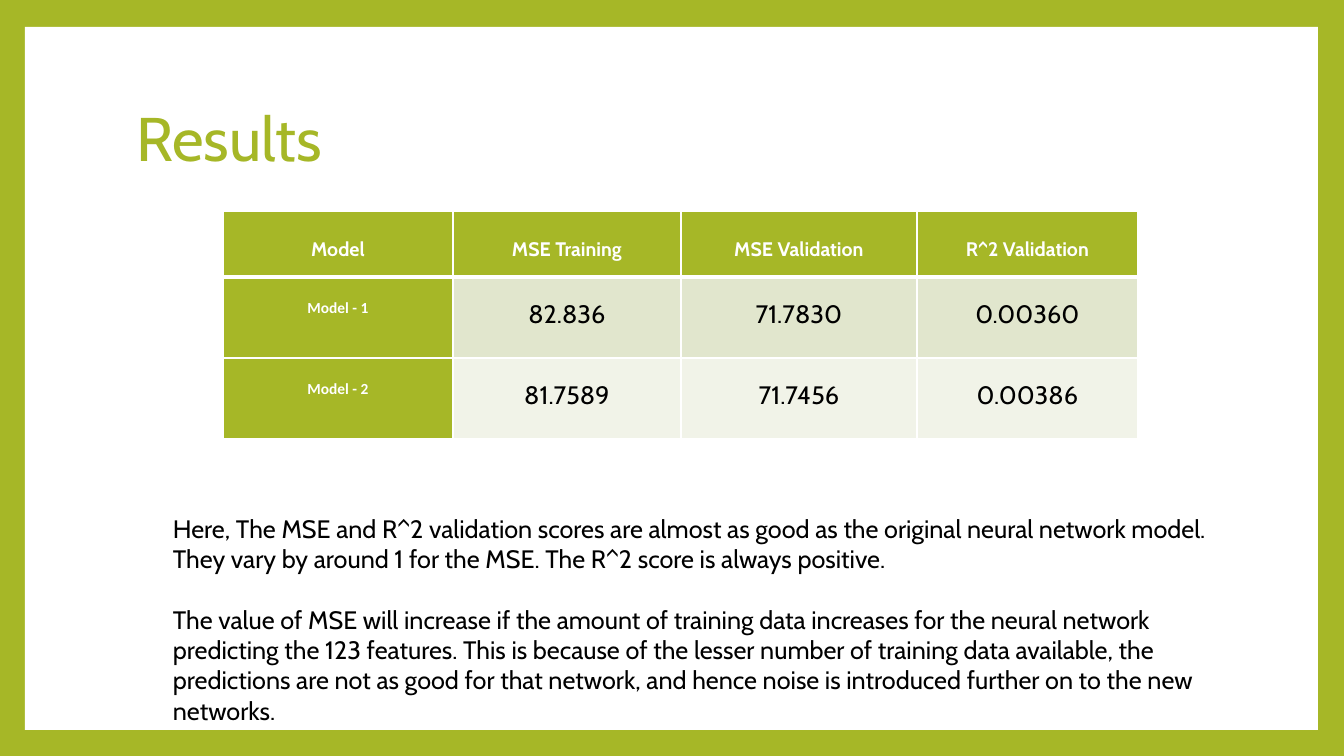
from dataclasses import dataclass

from pptx import Presentation
from pptx.dml.color import RGBColor as Color
from pptx.enum.shapes import MSO_SHAPE as Preset
from pptx.enum.text import MSO_ANCHOR as Anchor, MSO_AUTO_SIZE as AutoSize, PP_ALIGN as Align
from pptx.oxml import parse_xml
from pptx.oxml.ns import nsdecls
from pptx.util import Pt

EMU_PER_PX = 914400 / 100.8


@dataclass(frozen=True)
class Theme:
    """Colours, fonts and type sizes of the slide."""
    green: str = "A6B727"
    white: str = "FFFFFF"
    black: str = "000000"
    bands: tuple = ("E1E6CD", "F1F3E8")
    font: str = "Cabin"
    label_font: str = "Calibri"
    title_size: int = 44
    body_size: int = 18
    header_size: int = 14
    label_size: int = 11


THEME = Theme()
COLUMNS = (230, 228, 236, 221)
ROWS = (66, 81, 81)
RESULTS = (
    ("Model", "MSE Training", "MSE Validation", "R^2 Validation"),
    ("Model - 1", "82.836", "71.7830", "0.00360"),
    ("Model - 2", "81.7589", "71.7456", "0.00386"),
)
DISCUSSION = (
    "Here, The MSE and R^2 validation scores are almost as good as the original neural "
    "network model. They vary by around 1 for the MSE. The R^2 score is always positive.",
    "The value of MSE will increase if the amount of training data increases for the neural "
    "network predicting the 123 features. This is because of the lesser number of training "
    "data available, the predictions are not as good for that network, and hence noise is "
    "introduced further on to the new networks.",
)


def px(length):
    """Turn pixels into EMU."""
    return round(length * EMU_PER_PX)


def style(para, size, color, font=THEME.font, bold=False):
    """Format every run of a paragraph."""
    for span in para.runs:
        span.font.name = font
        span.font.size = Pt(size)
        span.font.bold = bold
        span.font.color.rgb = Color.from_string(color)


def paint(fill, color):
    """Make a fill solid in one colour."""
    fill.solid()
    fill.fore_color.rgb = Color.from_string(color)


def add_frame(page):
    """Colour the background and lay the white panel at the back."""
    paint(page.background.fill, THEME.green)
    panel = page.shapes.add_shape(Preset.RECTANGLE, px(25), px(27), px(1293), px(703))
    panel.shadow.inherit = False
    paint(panel.fill, THEME.white)
    panel.line.fill.background()
    page.shapes.element.insert(2, panel.element)


def add_title(page, text):
    """Fill and place the title placeholder."""
    title = page.shapes.title
    title.left, title.top, title.width, title.height = px(126), px(67), px(1089), px(149)
    frame = title.text_frame
    frame.text = text
    frame.vertical_anchor = Anchor.MIDDLE
    para = frame.paragraphs[0]
    para.alignment = Align.LEFT
    para.line_spacing = 0.9
    style(para, THEME.title_size, THEME.green)


def add_borders(cell, top, bottom):
    """Draw white cell borders, with top and bottom widths in points."""
    properties = cell._tc.get_or_add_tcPr()
    for side, width in (("L", 1), ("R", 1), ("T", top), ("B", bottom)):
        properties.append(parse_xml(
            f'<a:ln{side} {nsdecls("a")} w="{Pt(width)}"><a:solidFill>'
            f'<a:srgbClr val="{THEME.white}"/></a:solidFill></a:ln{side}>'))


def fill_cell(cell, text, row, column):
    """Write and format one cell by its place in the table."""
    header, label = row == 0, column == 0
    cell.margin_left = cell.margin_right = px(7)
    cell.margin_top, cell.margin_bottom = px(25 if header else 20), 0
    cell.vertical_anchor = Anchor.TOP
    cell.text = text
    para = cell.text_frame.paragraphs[0]
    para.alignment = Align.CENTER
    para.line_spacing = 1.07
    if header:
        style(para, THEME.header_size, THEME.white, bold=True)
    elif label:
        style(para, THEME.label_size, THEME.white, THEME.label_font, bold=True)
    else:
        style(para, THEME.body_size, THEME.black)
    add_borders(cell, top=3 if row == 1 else 1, bottom=3 if header else 1)
    paint(cell.fill, THEME.green if header or label else THEME.bands[row - 1])


def add_results(page):
    """Add the table of model scores."""
    table = page.shapes.add_table(
        len(ROWS), len(COLUMNS), px(223), px(211), px(sum(COLUMNS)), px(sum(ROWS))).table
    table.first_col = True
    for column, width in zip(table.columns, COLUMNS):
        column.width = px(width)
    for row, height in zip(table.rows, ROWS):
        row.height = px(height)
    for row, texts in enumerate(RESULTS):
        for column, text in enumerate(texts):
            fill_cell(table.cell(row, column), text, row, column)


def add_discussion(page):
    """Add the paragraphs below the table."""
    box = page.shapes.add_textbox(px(163), px(508), px(1065), px(224))
    frame = box.text_frame
    frame.word_wrap = True
    frame.auto_size = AutoSize.SHAPE_TO_FIT_TEXT
    frame.text = "\n".join(DISCUSSION)
    for para in frame.paragraphs:
        style(para, THEME.body_size, THEME.black)
    frame.paragraphs[1].space_before = Pt(22)


def main():
    """Build the slide and save it."""
    deck = Presentation()
    deck.slide_width, deck.slide_height = px(1344), px(756)
    page = deck.slides.add_slide(deck.slide_layouts.get_by_name("Title Only"))
    add_frame(page)
    add_title(page, "Results")
    add_results(page)
    add_discussion(page)
    deck.save("out.pptx")


if __name__ == "__main__":
    main()
